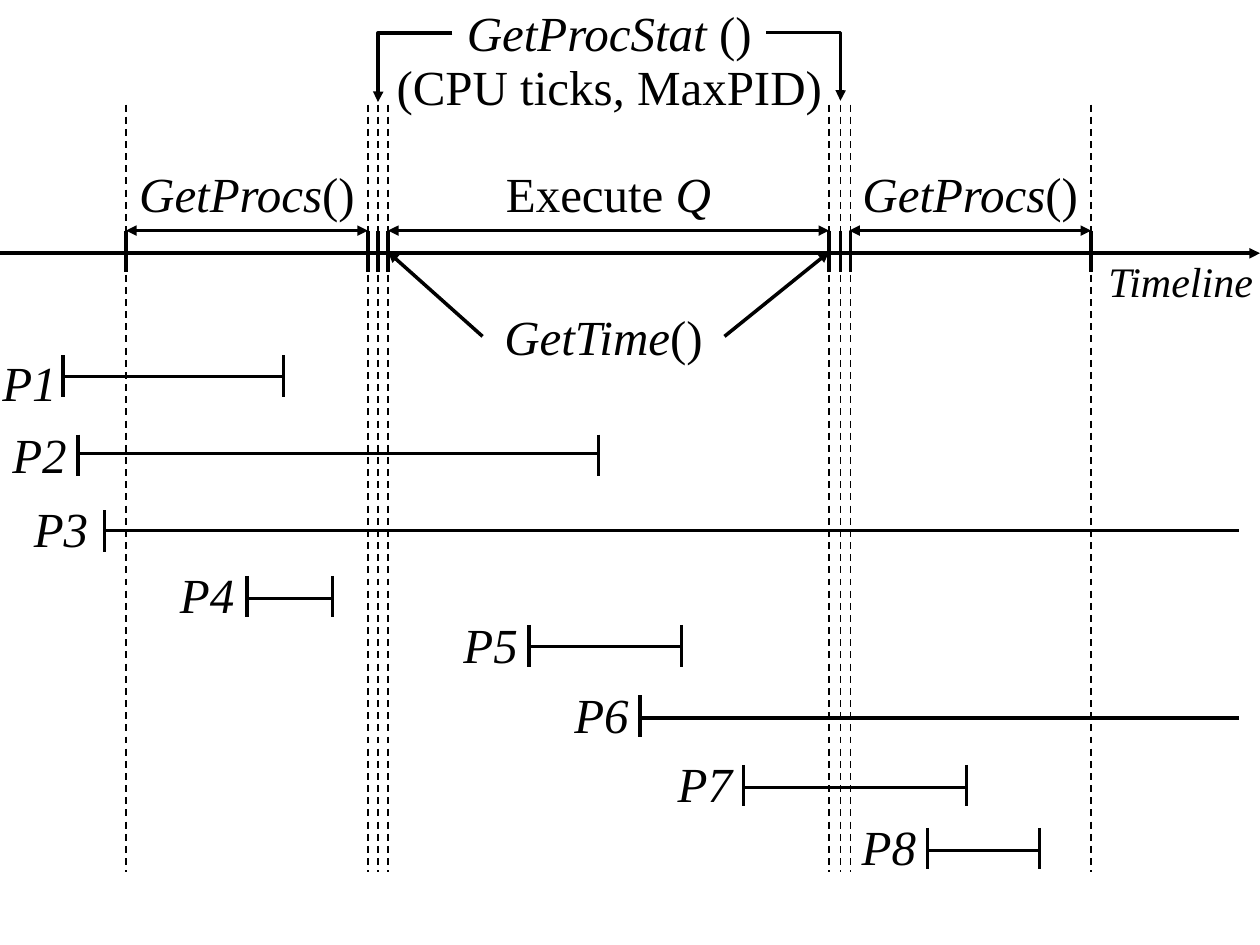
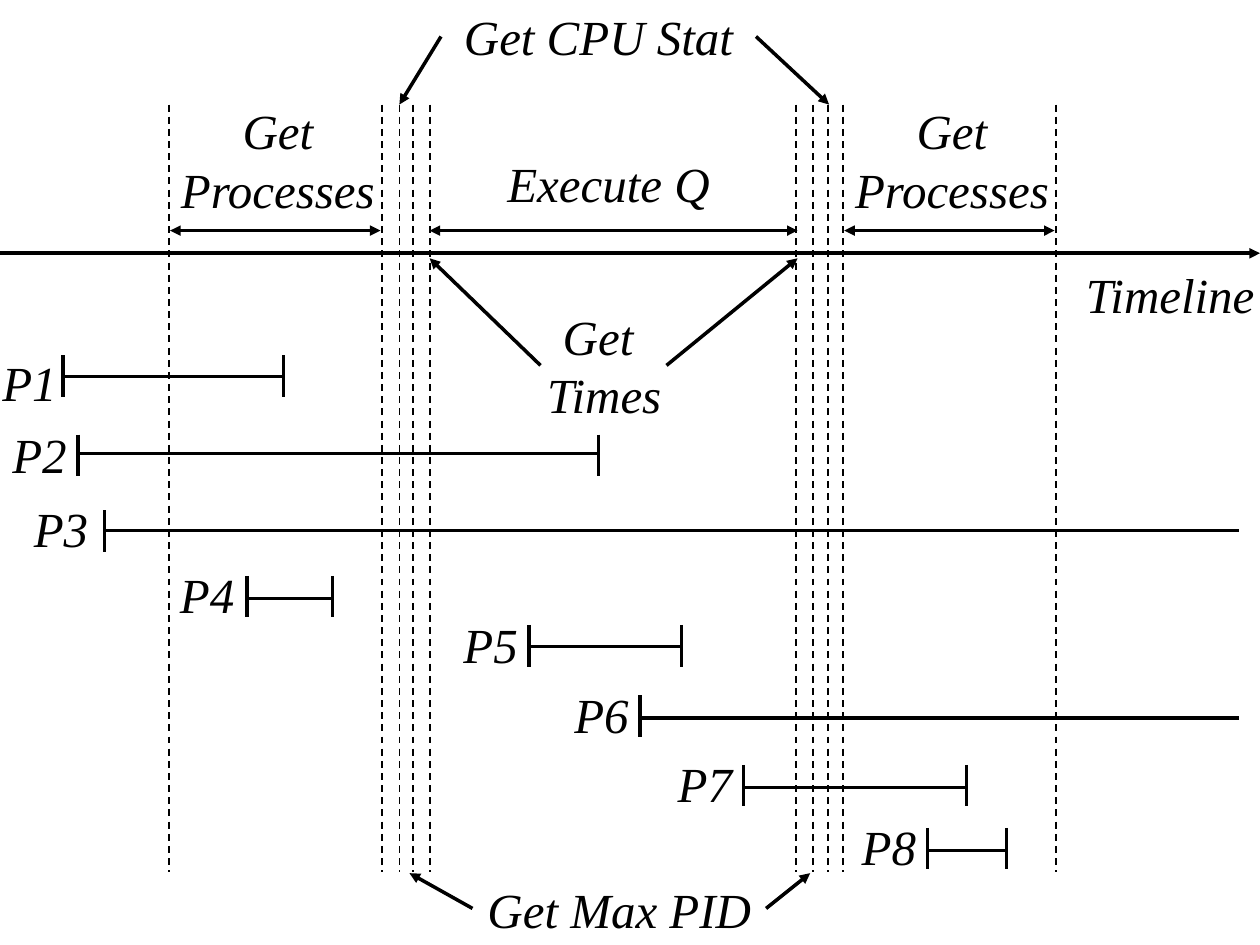
from lxml import etree
from pptx import Presentation, util as u
from pptx.dml import color
from pptx.enum import dml, shapes, text
from pptx.oxml import ns

FONT = "Times New Roman"
INK = color.RGBColor.from_string("000000")
LEFT, CENTER = text.PP_ALIGN.LEFT, text.PP_ALIGN.CENTER

presentation = Presentation()
presentation.slide_width, presentation.slide_height = u.Inches(10), u.Inches(7.5)
CELL = presentation.slide_width / 10  # the grid: 10 columns by 7.5 rows

# Rows shared by both slides
AXIS_ROW, SPAN_ROW = 2.01, 1.83
GUIDE_TOP, GUIDE_BOTTOM = 0.83, 6.92
TICK = 0.33


def add_line(parent, start, end, weight=2, arrows="", kind=shapes.MSO_CONNECTOR.STRAIGHT):
    """Join two (column, row) points; arrows names the ends with a head: 'head', 'tail'."""
    corners = [round(value * CELL) for value in (*start, *end)]
    connector = parent.add_connector(kind, *corners)
    connector.line.color.rgb = INK
    connector.line.width = u.Pt(weight)
    if weight == 1:
        connector.line.dash_style = dml.MSO_LINE.DASH
    properties = connector.element.spPr
    outline = properties.find(ns.qn("a:ln"))
    for arrow in arrows.split():
        etree.SubElement(outline, ns.qn(f"a:{arrow}End"), type="triangle")
    etree.SubElement(properties, ns.qn("a:effectLst"))
    return connector


def add_label(parent, left, top, width, *lines, size=28, align=CENTER):
    """Write lines in a box; '|' switches between italic and upright, italic first."""
    height = 0.1 + 0.47 * len(lines) * size / 28
    box = parent.add_textbox(*[round(value * CELL) for value in (left, top, width, height)])
    frame = box.text_frame
    frame.word_wrap = True
    frame.auto_size = text.MSO_AUTO_SIZE.SHAPE_TO_FIT_TEXT
    for number, line in enumerate(lines):
        paragraph = frame.add_paragraph() if number else frame.paragraphs[0]
        paragraph.alignment = align
        for position, part in enumerate(line.split("|")):
            if not part:
                continue
            run = paragraph.add_run()
            run.text = part
            run.font.name, run.font.size = FONT, u.Pt(size)
            run.font.italic = position % 2 == 0
            run.font.color.rgb = INK


# name, start, end, bar row, tick top, label left, label top
processes = [
    ("P1", 0.5, 2.25, 2.99, 2.82, -0.08, 2.75),
    ("P2", 0.62, 4.75, 3.6, 3.45, 0, 3.32),
    ("P3", 0.83, 9.83, 4.21, 4.05, 0.17, 3.91),
    ("P4", 1.96, 2.64, 4.75, 4.57, 1.33, 4.43),
    ("P5", 4.2, 5.41, 5.13, 4.96, 3.58, 4.83),
    ("P6", 5.08, 9.83, 5.7, 5.52, 4.46, 5.38),
    ("P7", 5.9, 7.67, 6.25, 6.07, 5.28, 5.93),
    ("P8", 7.36, 8.25, 6.75, 6.57, 6.74, 6.43),
]
OPEN_END = 9.83  # a process still running has no closing tick

# What differs between the slides: guides, spans, slanted pointers, labels
diagrams = [
    {
        "guides": [1, 2.92, 3, 3.08, 6.58, 6.67, 6.75, 8.66],
        "spans": [(1, 2.92), (3.08, 6.58), (6.74, 8.66)],
        "pointers": [((3.83, 2.67), (3.08, 2)), ((5.75, 2.67), (6.58, 2))],
        "labels": [
            (3.59, -0.03, 2.49, "GetProcStat |()"),
            (2.83, 0.4, 4.01, "|(CPU ticks|, |MaxPID)"),
            (1, 1.25, 1.92, "GetProcs|()"),
            (3.58, 1.25, 2.5, "|Execute| Q"),
            (6.74, 1.25, 1.92, "GetProcs|()"),
            (3.83, 2.38, 1.92, "GetTime|()"),
        ],
        "timeline": (8.58, 1.98, 24, CENTER),
        "last_end": 8.25,
    },
    {
        "guides": [1.34, 3.03, 3.17, 3.28, 3.41, 6.32, 6.45, 6.57, 6.69, 8.38],
        "spans": [(1.35, 3.02), (3.41, 6.33), (6.7, 8.37)],
        "pointers": [
            ((3.5, 0.29), (3.17, 0.83)), ((6, 0.29), (6.58, 0.83)),
            ((4.29, 2.9), (3.41, 2.05)), ((5.29, 2.9), (6.33, 2.05)),
            ((3.75, 7.21), (3.25, 6.93)), ((6.08, 7.21), (6.43, 6.93)),
        ],
        "labels": [
            (3.5, 0, 2.5, "Get CPU Stat"),
            (1.33, 0.75, 1.75, "Get", "Processes"),
            (3.58, 1.17, 2.5, "Execute Q"),
            (6.68, 0.75, 1.75, "Get", "Processes"),
            (4.17, 2.38, 1.25, "Get ", "Times"),
            (3.75, 6.93, 2.33, "Get Max PID"),
        ],
        "timeline": (8.52, 2.05, 28, LEFT),
        "last_end": 7.99,
    },
]

slides = []
for diagram in diagrams:
    slide = presentation.slides.add_slide(presentation.slide_layouts[6])
    slides.append(slide)
    canvas = slide.shapes

    # Time axis
    add_line(canvas, (0, AXIS_ROW), (10, AXIS_ROW), arrows="tail")
    left, top, size, align = diagram["timeline"]
    add_label(canvas, left, top, 1.58, "Timeline", size=size, align=align)

    # Processes
    for name, start, end, row, tick_top, label_left, label_top in processes:
        if name == "P8":
            end = diagram["last_end"]
        add_label(canvas, label_left, label_top, 0.79, name, align=LEFT)
        add_line(canvas, (start, row), (end, row))
        for column in (start, end):
            if column != OPEN_END:
                add_line(canvas, (column, tick_top), (column, tick_top + TICK))

    # Phases and calls
    for start, end in diagram["spans"]:
        add_line(canvas, (start, SPAN_ROW), (end, SPAN_ROW), arrows="head tail")
    for start, end in diagram["pointers"]:
        add_line(canvas, start, end, arrows="tail")
    for label in diagram["labels"]:
        add_label(canvas, *label)

    # Dashed guides, one group per slide
    guides = canvas.add_group_shape().shapes
    for column in diagram["guides"]:
        add_line(guides, (column, GUIDE_TOP), (column, GUIDE_BOTTOM), weight=1)

# First slide only: ticks on the axis and the two elbows from GetProcStat
canvas = slides[0].shapes
for column in diagrams[0]["guides"]:
    add_line(canvas, (column, SPAN_ROW), (column, SPAN_ROW + TICK))
for start, end, bend in [((3.59, 0.26), (3, 0.81), 99700),
                         ((6.08, 0.26), (6.67, 0.8), 100300)]:
    elbow = add_line(canvas, start, end, arrows="tail", kind=shapes.MSO_CONNECTOR.ELBOW)
    adjustments = elbow.element.spPr.find(ns.qn("a:prstGeom")).get_or_add_avLst()
    etree.SubElement(adjustments, ns.qn("a:gd"), name="adj1", fmla=f"val {bend}")

presentation.save("out.pptx")
